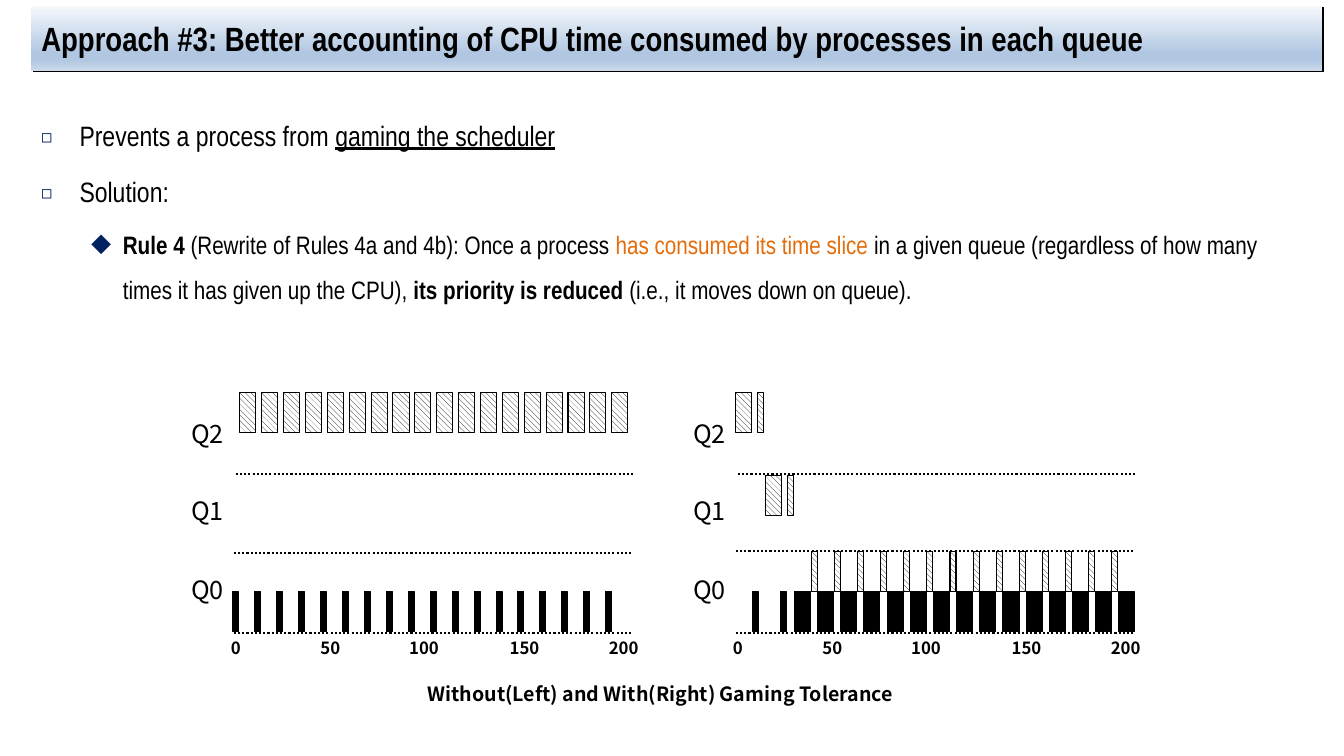
from lxml import etree
from pptx import Presentation
from pptx.dml.color import RGBColor
from pptx.enum.dml import MSO_LINE, MSO_PATTERN
from pptx.enum.shapes import MSO_CONNECTOR, MSO_SHAPE
from pptx.enum.text import MSO_ANCHOR, MSO_AUTO_SIZE, PP_ALIGN
from pptx.oxml import parse_xml
from pptx.oxml.ns import nsdecls, qn
from pptx.util import Pt

LEFT, CENTER, RIGHT = PP_ALIGN.LEFT, PP_ALIGN.CENTER, PP_ALIGN.RIGHT
MIDDLE = MSO_ANCHOR.MIDDLE
GROW = MSO_AUTO_SIZE.SHAPE_TO_FIT_TEXT
RECTANGLE, STRAIGHT = MSO_SHAPE.RECTANGLE, MSO_CONNECTOR.STRAIGHT
DOTTED, HATCH = MSO_LINE.ROUND_DOT, MSO_PATTERN.WIDE_DOWNWARD_DIAGONAL
HEADING_FONT, FIGURE_FONT = "Arial Narrow", "Noto Sans CJK KR"
BLACK, WHITE, NAVY, ORANGE = "000000", "FFFFFF", "002060", "E46C0A"

# Figure geometry in points
BAR_HEIGHT, WIDE, THIN = 28.4, 11.5, 4.3
Q2_TOP, Q1_TOP, Q0_TOP = 280.6, 339.8, 422.6
LINE_LENGTH = 283.6
QUEUE_LABELS = [("Q2", 295.2), ("Q1", 350.2), ("Q0", 406.8)]
TICKS = [("0", 1.4), ("50", 69), ("100", 135.9), ("150", 207.7), ("200", 278.5)]

# Runs of bars: offset from the panel's left, top, width, count, step, hatched
WITHOUT_TOLERANCE = [
    (4.3, Q2_TOP, WIDE, 18, 15.63, True),
    (-0.7, Q0_TOP, THIN, 18, 15.67, False),
]
WITH_TOLERANCE = [
    (0, Q2_TOP, WIDE, 1, 0, True),
    (15.8, Q2_TOP, THIN, 1, 0, True),
    (20.9, Q1_TOP, WIDE, 1, 0, True),
    (36.7, Q1_TOP, THIN, 1, 0, True),
    (12.2, Q0_TOP, THIN, 2, 19.5, False),
    (41.8, Q0_TOP, WIDE, 15, 16.56, False),
    (54, 393.9, THIN, 14, 16.5, True),
]


def color(value):
    return RGBColor.from_string(value)


def add_span(para, text, size=18, font=HEADING_FONT, ink=BLACK, bold=False, underline=False):
    span = para.add_run()
    span.text = text
    span.font.size, span.font.name = Pt(size), font
    span.font.bold, span.font.underline = bold, underline
    span.font.color.rgb = color(ink)


def add_box(shapes, left, top, width, height, side_inset=7.2):
    box = shapes.add_textbox(Pt(left), Pt(top), Pt(width), Pt(height))
    frame = box.text_frame
    frame.word_wrap = True
    frame.margin_left = frame.margin_right = Pt(side_inset)
    return frame


def add_label(shapes, text, left, top, width, height, align=CENTER, side_inset=0, **style):
    frame = add_box(shapes, left, top, width, height, side_inset)
    frame.auto_size = GROW
    para = frame.paragraphs[0]
    para.alignment = align
    add_span(para, text, font=FIGURE_FONT, **style)


def add_bullet(para, mark, margin, indent, percent):
    properties = para._p.get_or_add_pPr()
    properties.set("marL", str(Pt(margin)))
    properties.set("indent", str(Pt(-indent)))
    tint = etree.SubElement(properties, qn("a:buClr"))
    etree.SubElement(tint, qn("a:srgbClr"), val=NAVY)
    etree.SubElement(properties, qn("a:buSzPct"), val=str(percent * 1000))
    etree.SubElement(properties, qn("a:buFont"), typeface=FIGURE_FONT)
    etree.SubElement(properties, qn("a:buChar"), char=mark)


def add_bar(shapes, left, top, width, hatched):
    bar = shapes.add_shape(RECTANGLE, Pt(left), Pt(top), Pt(width), Pt(BAR_HEIGHT))
    bar.shadow.inherit = False
    if hatched:
        bar.fill.patterned()
        bar.fill.pattern = HATCH
        bar.fill.fore_color.rgb = color(BLACK)
        bar.fill.back_color.rgb = color(WHITE)
    else:
        bar.fill.solid()
        bar.fill.fore_color.rgb = color(BLACK)
    bar.line.color.rgb = color(BLACK)
    bar.line.width = Pt(0.75)


def add_dotted_line(shapes, left, top):
    line = shapes.add_connector(STRAIGHT, Pt(left), Pt(top), Pt(left + LINE_LENGTH), Pt(top))
    line.line.color.rgb = color(BLACK)
    line.line.width = Pt(1.5)
    line.line.dash_style = DOTTED
    etree.SubElement(line._element.spPr, qn("a:effectLst"))


def add_panel(slide, left, middle_line, bar_runs):
    shapes = slide.shapes.add_group_shape().shapes
    for offset, top in [(1.4, 338.4), (0, middle_line), (0, 452.2)]:
        add_dotted_line(shapes, left + offset, top)
    for text, middle in TICKS:
        add_label(shapes, text, left + middle - 22, 452.2, 44, 21.6, size=12, bold=True)
    for text, top in QUEUE_LABELS:
        add_label(shapes, text, left - 49.7, top, 49.7, 28.8, align=RIGHT, side_inset=7.2)
    for offset, top, width, count, step, hatched in bar_runs:
        for index in range(count):
            add_bar(shapes, left + offset + index * step, top, width, hatched)


def format_title(title, text):
    title.left, title.top, title.width, title.height = Pt(22.3), Pt(4.3), Pt(922.3), Pt(46.1)
    frame = title.text_frame
    frame.vertical_anchor = MIDDLE
    frame.word_wrap = True
    para = frame.paragraphs[0]
    para.alignment = LEFT
    add_span(para, text, size=24, bold=True)
    # Gradient band with a hard shadow
    stops = [(0, "F6F9FC"), (74, "B0C6E1"), (83, "B0C6E1"), (100, "CAD9EB")]
    stop_xml = "".join(
        f'<a:gs pos="{place * 1000}"><a:srgbClr val="{tint}"/></a:gs>' for place, tint in stops)
    properties = title._element.spPr
    properties.append(parse_xml(
        f'<a:gradFill {nsdecls("a")} rotWithShape="1"><a:gsLst>{stop_xml}</a:gsLst>'
        '<a:lin ang="5400000" scaled="0"/></a:gradFill>'))
    properties.append(parse_xml(
        f'<a:effectLst {nsdecls("a")}><a:outerShdw dist="{Pt(1.4)}" dir="2700000" '
        f'algn="tl" rotWithShape="0"><a:srgbClr val="{BLACK}"/></a:outerShdw></a:effectLst>'))


def add_body(slide):
    frame = add_box(slide.shapes, 22.3, 69.1, 922.3, 433.4)
    frame.margin_right = Pt(14.4)
    square, diamond = ("◻", 27.4, 27.4, 65), ("◆", 58.3, 22.3, 80)
    points = [
        (square, 20, [("Prevents a process from ", {}),
                      ("gaming the scheduler", {"underline": True})]),
        (square, 20, [("Solution:", {})]),
        (diamond, 18, [
            ("Rule 4 ", {"bold": True}),
            ("(Rewrite of Rules 4a and 4b): Once a process ", {}),
            ("has consumed its time slice ", {"ink": ORANGE}),
            ("in a given queue (regardless of how many times it has given up the CPU), ", {}),
            ("its priority is reduced ", {"bold": True}),
            ("(i.e., it moves down on queue).", {})]),
    ]
    for index, (bullet, size, spans) in enumerate(points):
        para = frame.add_paragraph() if index else frame.paragraphs[0]
        add_bullet(para, *bullet)
        para.line_spacing = 1.5
        para.space_before = Pt(4 if index else 0)
        for text, style in spans:
            add_span(para, text, size=size, **style)


def main():
    deck = Presentation()
    deck.slide_width, deck.slide_height = Pt(960), Pt(540)
    slide = deck.slides.add_slide(deck.slide_layouts[5])

    # Title and rules
    format_title(slide.shapes.title,
                 "Approach #3: Better accounting of CPU time consumed by processes in each queue")
    add_body(slide)

    # Scheduling timelines and caption
    add_panel(slide, 167, 395.3, WITHOUT_TOLERANCE)
    add_panel(slide, 525.6, 393.9, WITH_TOLERANCE)
    add_label(slide.shapes, "Without(Left) and With(Right) Gaming Tolerance",
              213.8, 483.8, 516.2, 24.5, size=14, bold=True)
    deck.save("out.pptx")


if __name__ == "__main__":
    main()
